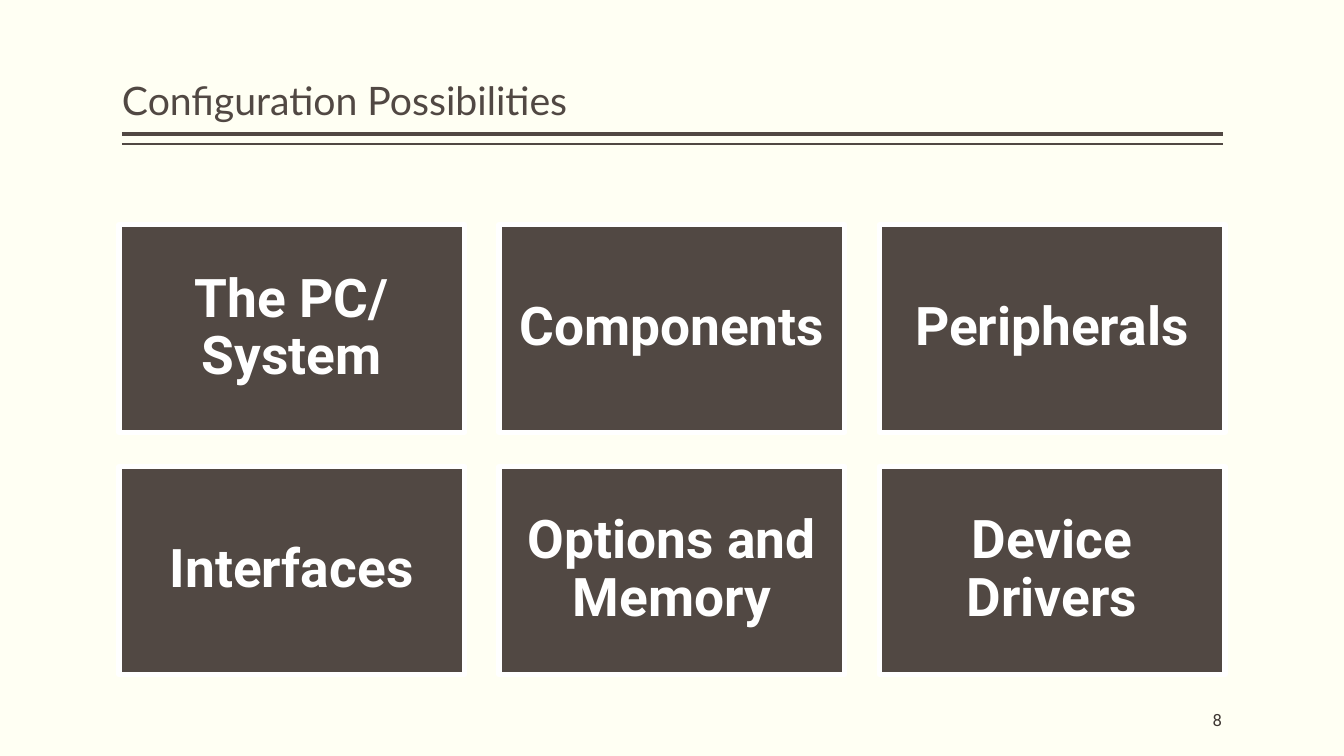
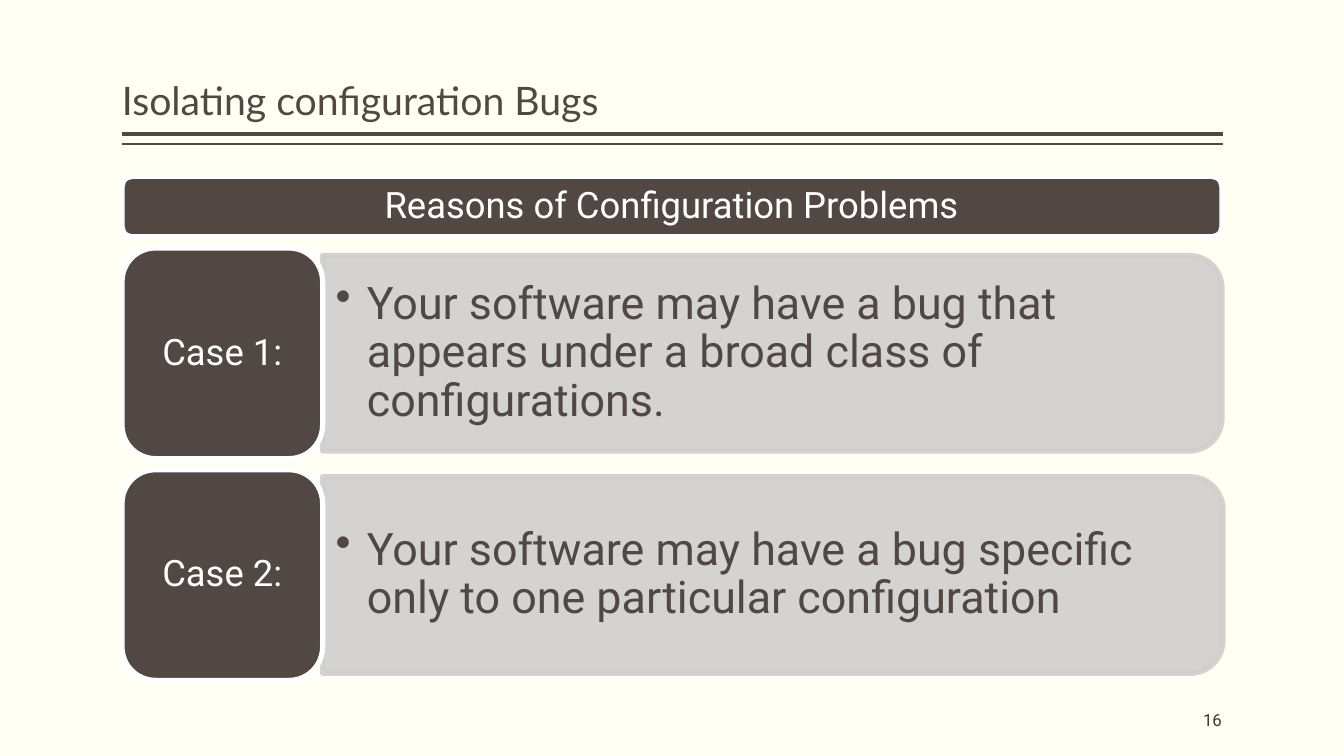
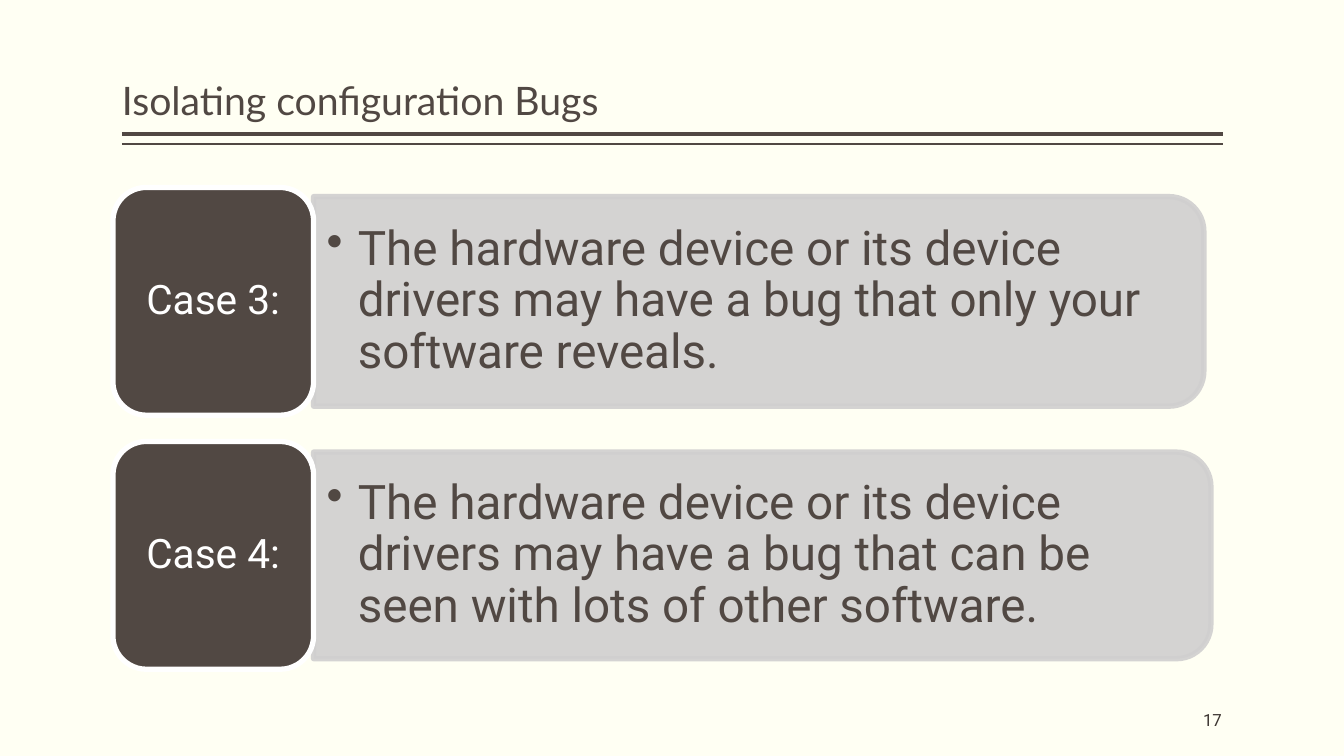
"""Build three slides on configuration testing."""
from lxml.etree import SubElement as Sub
from pptx import Presentation
from pptx.dml.color import RGBColor as Rgb
from pptx.enum.shapes import MSO_CONNECTOR as Conn, MSO_SHAPE as Kind
from pptx.enum.text import MSO_ANCHOR as Anchor, MSO_AUTO_SIZE as Fit, PP_ALIGN as Align
from pptx.oxml.ns import qn
from pptx.util import Inches as In, Pt

HEX = {"paper": "FFFFF3", "brown": "514843", "white": "FFFFFF",
       "grey": "D0CFCF", "page": "3D3632"}
LEFT, WIDE = 1.21, 10.92
EDGE = 3.78

TOPICS = ["The PC/ System", "Components", "Peripherals",
          "Interfaces", "Options and Memory", "Device Drivers"]
TILES = {"cols": 3, "left": 1.18, "top": 2.23, "w": 3.43, "h": 2.06, "gap": 0.34}

BUGS = "Isolating configuration Bugs"
REASON = "Reasons of Configuration Problems"
FIRST = {
    "left": 1.21, "top": 2.46, "step": 2.2, "chip": (1.99, 2.09),
    "sizes": (26, 32),
    "rows": [
        ("Case 1:", "Your software may have a bug that appears under a broad "
         "class of configurations.", 8.92, 1.94),
        ("Case 2:", "Your software may have a bug specific only to one "
         "particular configuration", 8.93, 1.95)]}
SECOND = {
    "left": 1.12, "top": 1.86, "step": 2.52, "chip": (1.99, 2.26),
    "sizes": (29, 34),
    "rows": [
        ("Case 3:", "The hardware device or its device drivers may have a bug "
         "that only your software reveals.", 8.83, 2.08),
        ("Case 4:", "The hardware device or its device drivers may have a bug "
         "that can be seen with lots of other software.", 8.9, 2.05)]}


def rgb(name):
    return Rgb.from_string(HEX[name])


def box(*lens):
    return [In(n) for n in lens]


def write(item, text, size, ink, font="Roboto", bold=False, align=Align.CENTER,
          anchor=Anchor.MIDDLE, pad=(0.11, 0.05), bullet=False):
    frame = item.text_frame
    frame.word_wrap, frame.auto_size = True, Fit.NONE
    frame.vertical_anchor = anchor
    frame.margin_left = frame.margin_right = In(pad[0])
    frame.margin_top = frame.margin_bottom = In(pad[1])
    para = frame.paragraphs[0]
    para.text, para.alignment, para.line_spacing = text, align, 0.9
    if bullet:
        props = para._p.get_or_add_pPr()
        props.set("marL", str(In(0.31)))
        props.set("indent", str(-In(0.31)))
        Sub(props, qn("a:buChar")).set("char", "•")
    para.font.name, para.font.size, para.font.bold = font, Pt(size), bold
    para.font.color.rgb = rgb(ink)


def block(slide, kind, place, fill="brown", line="white"):
    shape = slide.shapes.add_shape(kind, *box(*place))
    shape.shadow.inherit = False
    shape.fill.solid()
    shape.fill.fore_color.rgb = rgb(fill)
    shape.line.color.rgb = rgb(line)
    shape.line.width = Pt(EDGE)
    return shape


def panel(slide, x, mid, w, h):
    place = (x + (w - h) / 2, mid - w / 2, h, w)
    shape = block(slide, Kind.ROUND_2_SAME_RECTANGLE, place, "grey", "grey")
    shape.rotation = 90
    for tint in shape._element.spPr.iter(qn("a:srgbClr")):
        Sub(tint, qn("a:alpha")).set("val", "90000")


def cases(slide, data):
    w, h = data["chip"]
    left = data["left"]
    edge = left + w
    for n, (label, text, wide, high) in enumerate(data["rows"]):
        top = data["top"] + n * data["step"]
        mid = top + h / 2
        panel(slide, edge, mid, wide, high)
        tall = high - 0.19
        note = slide.shapes.add_textbox(*box(edge, mid - tall / 2, wide - 0.1, tall))
        write(note, text, data["sizes"][1], "brown", align=Align.LEFT,
              pad=(0.13, 0.07), bullet=True)
        chip = block(slide, Kind.ROUNDED_RECTANGLE, (left, top, w, h))
        write(chip, label, data["sizes"][0], "white")


def topics(slide):
    w, h, gap = TILES["w"], TILES["h"], TILES["gap"]
    for n, text in enumerate(TOPICS):
        row, col = divmod(n, TILES["cols"])
        place = (TILES["left"] + col * (w + gap), TILES["top"] + row * (h + gap), w, h)
        tile = block(slide, Kind.RECTANGLE, place)
        write(tile, text, 38, "white", bold=True, pad=(0.16, 0.16))


def reasons(slide):
    bar = block(slide, Kind.ROUNDED_RECTANGLE, (LEFT, 1.75, 10.91, 0.6))
    write(bar, REASON, 26, "white")
    cases(slide, FIRST)


def more(slide):
    cases(slide, SECOND)


def rules(deck, slide, layout):
    deck.slide_master.background.fill.solid()
    deck.slide_master.background.fill.fore_color.rgb = rgb("paper")
    head = layout.placeholders[0]
    head.left, head.top, head.width, head.height = box(LEFT, 0.08, WIDE, 1.2)
    for y, width in ((1.33, 3), (1.43, 1)):
        rule = slide.shapes.add_connector(Conn.STRAIGHT, *box(LEFT, y, LEFT + WIDE, y))
        rule.line.color.rgb, rule.line.width = rgb("brown"), Pt(width)
        Sub(rule._element.spPr, qn("a:effectLst"))
        layout.shapes._spTree.append(rule._element)


def main():
    deck = Presentation()
    deck.slide_width, deck.slide_height = box(13.33, 7.5)
    layout = deck.slide_layouts[5]
    plan = [("Configuration Possibilities", 8, topics),
            (BUGS, 16, reasons), (BUGS, 17, more)]
    for n, (title, page, draw) in enumerate(plan):
        slide = deck.slides.add_slide(layout)
        if n == 0:
            rules(deck, slide, layout)
        write(slide.shapes.title, title, 28, "brown", font="Lato",
              align=Align.LEFT, anchor=Anchor.BOTTOM, pad=(0, 0.05))
        draw(slide)
        foot = slide.shapes.add_textbox(*box(10.12, 6.95, 2, 0.4))
        write(foot, str(page), 12, "page", align=Align.RIGHT, pad=(0, 0.05))
    deck.save("out.pptx")


if __name__ == "__main__":
    main()
